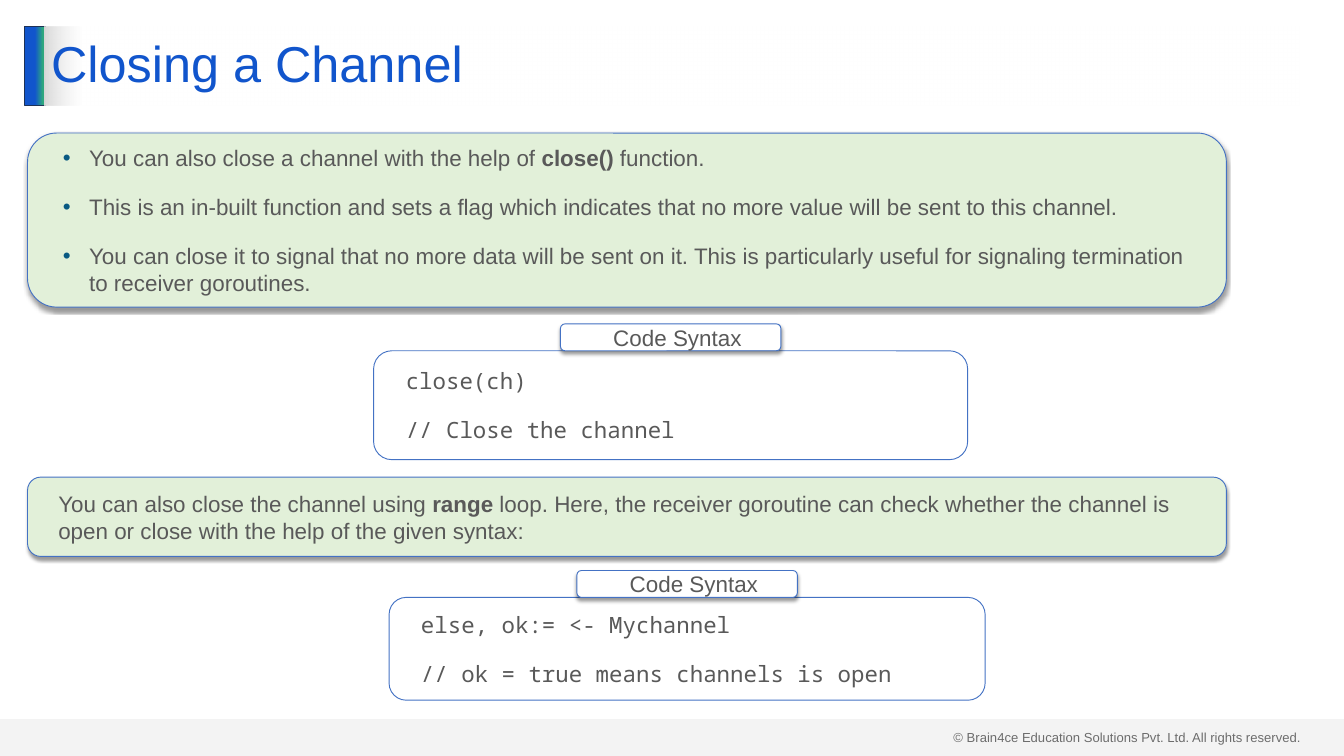
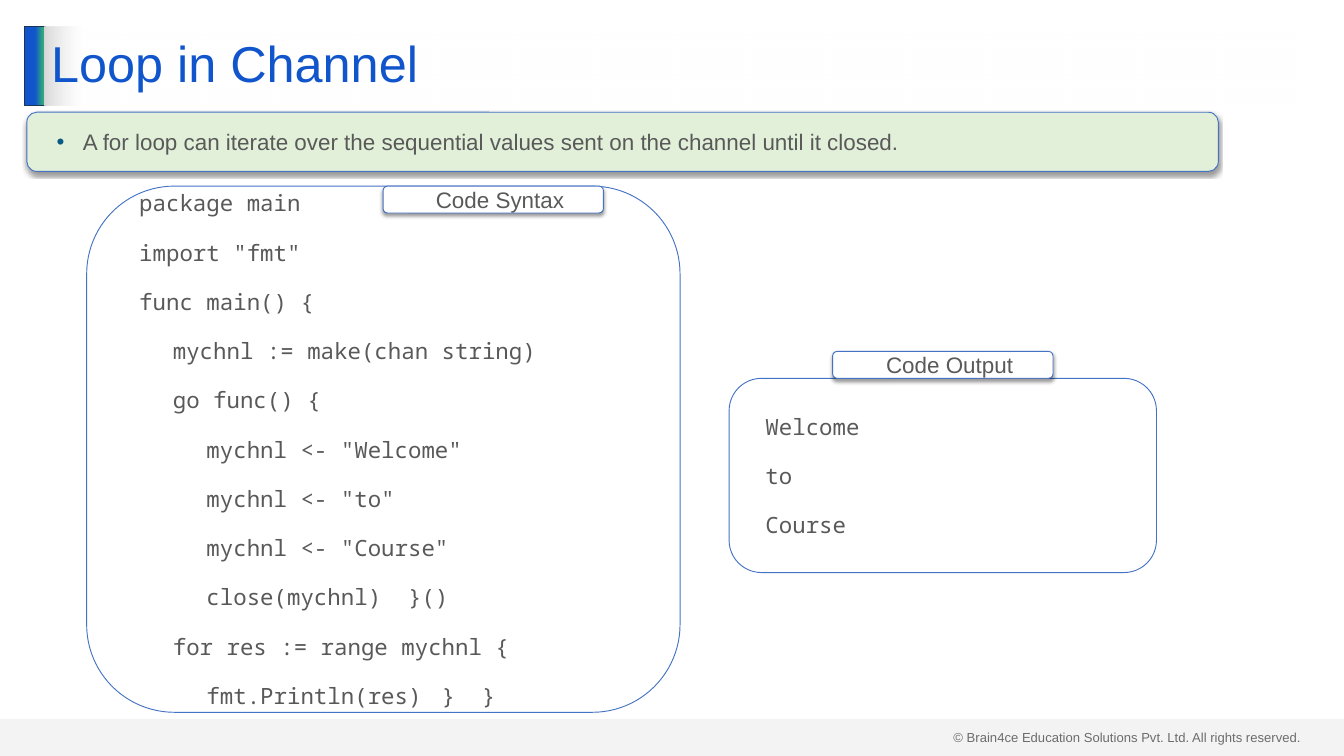
import pptx
import pptx.dml.color
import pptx.enum.shapes
import pptx.enum.text
import pptx.oxml
import pptx.oxml.ns
import pptx.util
from lxml import etree

Inches = pptx.util.Inches
Pt = pptx.util.Pt
RGBColor = pptx.dml.color.RGBColor
Shape = pptx.enum.shapes.MSO_SHAPE
Align = pptx.enum.text.PP_ALIGN
Anchor = pptx.enum.text.MSO_ANCHOR
qn = pptx.oxml.ns.qn

BLUE = RGBColor(0x11, 0x55, 0xCC)
GREEN = RGBColor(0x2E, 0xA8, 0x7D)
NAVY = RGBColor(0x1E, 0x32, 0x56)
OUTLINE = RGBColor(0x44, 0x72, 0xC4)
PALE_GREEN = RGBColor(0xE2, 0xF0, 0xD9)
BULLET = RGBColor(0x09, 0x5A, 0x82)
TEXT = RGBColor(0x59, 0x59, 0x59)
FOOTER_TEXT = RGBColor(0x40, 0x40, 0x40)
GREY = RGBColor(0xD9, 0xD9, 0xD9)
WHITE = RGBColor(0xFF, 0xFF, 0xFF)
BLACK = RGBColor(0, 0, 0)

SANS = "Arial"
MONO = "Noto Sans Mono"
LABEL_W, LABEL_H = 3.28, 0.4


def add_text(p, text, size=24, font=SANS, color=TEXT):
    for i, part in enumerate(text.split("**")):
        r = p.add_run()
        r.text = part
        r.font.size = Pt(size)
        r.font.name = font
        r.font.bold = i % 2 == 1
        r.font.color.rgb = color


def add_color(parent, color, opacity=100):
    clr = etree.SubElement(parent, qn("a:srgbClr"), val=str(color))
    if opacity < 100:
        etree.SubElement(clr, qn("a:alpha"), val=str(opacity * 1000))


def set_gradient(sp, stops):
    sp.fill.gradient()
    sp.fill.gradient_angle = 0
    gs_list = sp.element.spPr.find(".//" + qn("a:gsLst"))
    for gs in list(gs_list):
        gs_list.remove(gs)
    for pos, color, opacity in stops:
        gs = etree.SubElement(gs_list, qn("a:gs"), pos=str(pos * 1000))
        add_color(gs, color, opacity)


def set_indent(p, left, first=0, bullet=False):
    pPr = p._p.get_or_add_pPr()
    pPr.set("marL", str(Inches(left)))
    pPr.set("indent", str(Inches(first)))
    if bullet:
        add_color(etree.SubElement(pPr, qn("a:buClr")), BULLET)
        etree.SubElement(pPr, qn("a:buFont"), typeface=SANS)
        etree.SubElement(pPr, qn("a:buChar"), char="•")


class Deck:
    def __init__(self):
        self.prs = pptx.Presentation()
        self.prs.slide_width = Inches(20)
        self.prs.slide_height = Inches(11.25)
        self.layout = self.prs.slide_layouts[5]
        for ph in list(self.layout.placeholders)[1:]:
            ph.element.getparent().remove(ph.element)
        self.s = None

    def shape(self, kind, x, y, w, h, fill=None, line=None):
        sp = self.s.shapes.add_shape(kind, Inches(x), Inches(y), Inches(w), Inches(h))
        sp.shadow.inherit = False
        if fill is None:
            sp.fill.background()
        else:
            sp.fill.solid()
            sp.fill.fore_color.rgb = fill
        if line is None:
            sp.line.fill.background()
        else:
            sp.line.color.rgb = line
            sp.line.width = Pt(1)
        return sp

    def master_parts(self):
        footer = self.s.shapes.add_textbox(Inches(14.09), Inches(10.8), Inches(5.41), Inches(0.34))
        footer.text_frame.word_wrap = True
        add_text(footer.text_frame.paragraphs[0],
                 "© Brain4ce Education Solutions Pvt. Ltd. All rights reserved.",
                 size=14, color=FOOTER_TEXT)
        accent = self.shape(Shape.RECTANGLE, 0.37, 0.39, 0.3, 1.18, line=NAVY)
        set_gradient(accent, [(51, BLUE, 100), (90, GREEN, 100), (100, GREEN, 100)])
        band = self.shape(Shape.RECTANGLE, 0, 10.7, 20, 0.55, fill=GREY)
        clr = band.element.spPr.find(qn("a:solidFill")).find(qn("a:srgbClr"))
        etree.SubElement(clr, qn("a:alpha"), val="29000")
        for sp in (footer, accent, band):
            self.layout.shapes.element.append(sp.element)

    def slide(self, title):
        first = self.s is None
        self.s = self.prs.slides.add_slide(self.layout)
        if first:
            self.master_parts()
        sp = self.s.shapes.title
        sp.left, sp.top = Inches(0.66), Inches(0.39)
        sp.width, sp.height = Inches(18.67), Inches(1.18)
        set_gradient(sp, [(0, GREY, 100), (3, WHITE, 50), (100, WHITE, 50)])
        tf = sp.text_frame
        tf.auto_size = pptx.enum.text.MSO_AUTO_SIZE.NONE
        tf.vertical_anchor = Anchor.MIDDLE
        p = tf.paragraphs[0]
        p.alignment = Align.LEFT
        p.line_spacing = 0.9
        add_text(p, title, size=54, color=BLUE)

    def box(self, x, y, w, h, lines, fill=None, shadow=True, bullets=False,
            align=Align.LEFT, font=SANS):
        sp = self.shape(Shape.ROUNDED_RECTANGLE, x, y, w, h, fill, OUTLINE)
        if shadow:
            effects = sp.element.spPr.find(qn("a:effectLst"))
            outer = etree.SubElement(effects, qn("a:outerShdw"), blurRad=str(Pt(4)),
                                     dist=str(Pt(3)), dir="5400000", rotWithShape="0")
            add_color(outer, BLACK, 40)
        tf = sp.text_frame
        tf.word_wrap = True
        tf.vertical_anchor = Anchor.MIDDLE
        tf.margin_left = tf.margin_right = Inches(0.2)
        tf.margin_top = tf.margin_bottom = Inches(0.1)
        for i, line in enumerate(lines):
            p = tf.add_paragraph() if i else tf.paragraphs[0]
            p.level = 1
            p.alignment = align
            p.space_before = Pt(12 if i else 0)
            p.space_after = Pt(12)
            if bullets:
                set_indent(p, 0.59, -0.39, bullet=True)
            else:
                set_indent(p, 0.2)
            add_text(p, line, font=font)

    def note(self, x, y, w, h, lines, bullets=False):
        self.box(x, y, w, h, lines, fill=PALE_GREEN, bullets=bullets)

    def code(self, x, y, w, h, label, lines, label_at=None):
        self.box(x, y, w, h, lines, shadow=False, font=MONO)
        label_x, label_y = label_at or (x + (w - LABEL_W) / 2, y - LABEL_H)
        self.box(label_x, label_y, LABEL_W, LABEL_H, [label], fill=WHITE, align=Align.CENTER)


def main():
    deck = Deck()

    deck.slide("Closing a Channel")
    deck.code(5.56, 5.22, 8.84, 1.62, "Code Syntax", ["close(ch)", "// Close the channel"])
    deck.note(0.41, 1.98, 17.84, 2.59, [
        "You can also close a channel with the help of **close() **function.",
        "This is an in-built function and sets a flag which indicates that no more value "
        "will be sent to this channel.",
        "You can close it to signal that no more data will be sent on it. This is "
        "particularly useful for signaling termination to receiver goroutines.",
    ], bullets=True)
    deck.code(5.79, 8.89, 8.87, 1.53, "Code Syntax",
              ["else, ok:= <- Mychannel", "// ok = true means channels is open"])
    deck.note(0.41, 7.1, 17.84, 1.18, [
        "You can also close the channel using **range** loop. Here, the receiver goroutine "
        "can check whether the channel is open or close with the help of the given syntax:",
    ])

    deck.slide("Loop in Channel")
    deck.note(0.4, 1.67, 17.73, 0.88, [
        "A for loop can iterate over the sequential values sent on the channel until it closed.",
    ], bullets=True)
    deck.code(1.29, 2.77, 8.83, 7.83, "Code Syntax", [
        "package main",
        'import "fmt"',
        "func main() {",
        "\tmychnl := make(chan string)",
        "\tgo func() {",
        '\t\tmychnl <- "Welcome"',
        '\t\tmychnl <- "to"',
        '\t\tmychnl <- "Course"',
        "\t\tclose(mychnl)  }()",
        "\tfor res := range mychnl {",
        "\t\tfmt.Println(res) \t}  }",
    ], label_at=(5.7, 2.77))
    deck.code(10.85, 5.63, 6.36, 2.89, "Code Output", ["Welcome", "to", "Course"])

    deck.prs.save("out.pptx")


if __name__ == "__main__":
    main()
